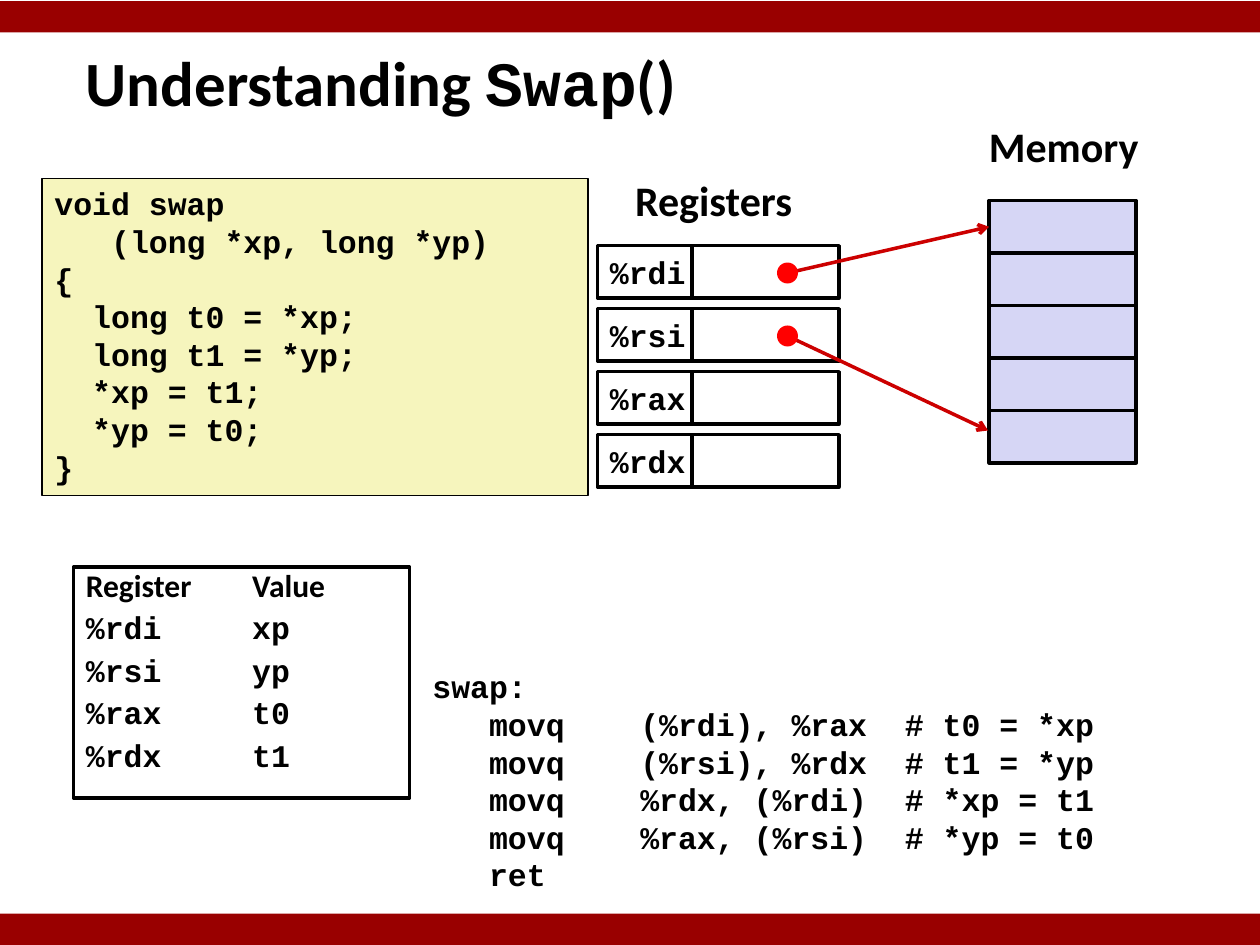
from lxml.etree import SubElement
from pptx import Presentation
from pptx.dml.color import RGBColor
from pptx.enum.shapes import MSO_CONNECTOR, MSO_SHAPE
from pptx.enum.text import MSO_ANCHOR, PP_ALIGN
from pptx.oxml.ns import qn
from pptx.util import Inches, Pt

COLUMNS, ROWS = 120, 90
UNIT = Inches(10) / COLUMNS
MONO, SANS = "Courier New", "Calibri"
BLACK, WHITE, BAR, ARROW = "000000", "FFFFFF", "990000", "CC0000"
DOT, CODE_FILL, MEMORY_FILL = "FF0000", "F6F5BD", "D6D6F5"
CELL_HEIGHT, VALUE_WIDTH = 5, 14
CODE_FORMAT = {"line_spacing": Pt(21.5)}

SWAP_C = """void swap
   (long *xp, long *yp)
{
  long t0 = *xp;
  long t1 = *yp;
  *xp = t1;
  *yp = t0;
}"""
SWAP_ASSEMBLY = """swap:
   movq    (%rdi), %rax  # t0 = *xp
   movq    (%rsi), %rdx  # t1 = *yp
   movq    %rdx, (%rdi)  # *xp = t1
   movq    %rax, (%rsi)  # *yp = t0
   ret"""
REGISTER_VALUES = {"%rdi": "xp", "%rsi": "yp", "%rax": "t0", "%rdx": "t1"}


def grid(*units):
    return [round(unit * UNIT) for unit in units]


def color(target, hex_code):
    target.rgb = RGBColor.from_string(hex_code)


def apply(target, formats):
    for name, value in formats.items():
        setattr(target, name, value)


def add_block(slide, place, fill=None, border=0, outline=MSO_SHAPE.RECTANGLE):
    block = slide.shapes.add_shape(outline, *grid(*place))
    block.shadow.inherit = False
    if fill:
        block.fill.solid()
        color(block.fill.fore_color, fill)
    else:
        block.fill.background()
    if border:
        color(block.line.color, BLACK)
        block.line.width = Pt(border)
    else:
        block.line.fill.background()
    return block


def add_label(slide, place):
    return slide.shapes.add_textbox(*grid(*place))


def write(block, lines, size=18, wrap=True, anchor=MSO_ANCHOR.TOP, formats=None, tab=None):
    frame = block.text_frame
    apply(frame, {"word_wrap": wrap, "vertical_anchor": anchor})
    for index, pieces in enumerate(lines):
        paragraph = frame.add_paragraph() if index else frame.paragraphs[0]
        if tab:
            stops = SubElement(paragraph._p.get_or_add_pPr(), qn("a:tabLst"))
            SubElement(stops, qn("a:tab"), pos=str(Inches(tab)), algn="l")
        apply(paragraph, {"alignment": PP_ALIGN.LEFT, **(formats or {})})
        if not index:
            paragraph.space_before = Pt(0)
        for words, face in pieces:
            run = paragraph.add_run()
            run.text = words
            apply(run.font, {"name": face, "size": Pt(size), "bold": True})
            color(run.font.color, BLACK)


def write_code(block, code):
    write(block, [[(line, MONO)] for line in code.splitlines()], formats=CODE_FORMAT)


def add_registers(slide, left, top, step):
    name_width = 9
    for index, register in enumerate(REGISTER_VALUES):
        row = top + index * step
        name_cell = add_block(slide, (left, row, name_width, CELL_HEIGHT), WHITE, 2)
        write(name_cell, [[(register, MONO)]], wrap=False, anchor=MSO_ANCHOR.MIDDLE)
        add_block(slide, (left + name_width, row, VALUE_WIDTH, CELL_HEIGHT), WHITE, 2)


def add_memory(slide, left, top, count):
    return [
        add_block(slide, (left, top + index * CELL_HEIGHT, VALUE_WIDTH, CELL_HEIGHT), MEMORY_FILL, 2)
        for index in range(count)
    ]


def add_pointer(slide, start, end, target=None):
    pointer = slide.shapes.add_connector(MSO_CONNECTOR.STRAIGHT, *grid(*start, *end))
    if target:
        pointer.end_connect(target, 1)
    color(pointer.line.color, ARROW)
    pointer.line.width = Pt(2)
    SubElement(pointer.line._get_or_add_ln(), qn("a:tailEnd"), type="arrow")
    SubElement(pointer._element.spPr, qn("a:effectLst"))
    x, y = start
    add_block(slide, (x - 1, y - 1, 2, 2), DOT, outline=MSO_SHAPE.OVAL)


def add_value_list(slide):
    value_list = add_block(slide, (7, 54, 32, 22), border=2)
    value_list.text_frame.margin_top = Inches(0.08)
    lines = [[("Register\tValue", SANS)]]
    lines += [[(f"{register}\t{value}", MONO)] for register, value in REGISTER_VALUES.items()]
    spacing = {"line_spacing": Pt(15), "space_before": Pt(9.3)}
    write(value_list, lines, formats=spacing, tab=1.32)


def main():
    deck = Presentation()
    apply(deck, dict(zip(("slide_width", "slide_height"), grid(COLUMNS, ROWS))))
    slide = deck.slides.add_slide(deck.slide_layouts[6])

    add_registers(slide, 56.9, 23.4, 6)
    title = [("Understanding ", SANS), ("Swap", MONO), ("()", SANS)]
    write(add_label(slide, (7, 4, 83.6, 7.5)), [title], 36, anchor=MSO_ANCHOR.MIDDLE)
    write_code(add_block(slide, (4, 17, 52, 30.2), CODE_FILL, 1), SWAP_C)
    write(add_label(slide, (93, 10.9, 16.8, 6)), [[("Memory", SANS)]], 24, wrap=False)
    add_value_list(slide)
    write_code(add_label(slide, (40, 63, 77, 23)), SWAP_ASSEMBLY)
    write(add_label(slide, (59.3, 16, 17.8, 6)), [[("Registers", SANS)]], 24, wrap=False)

    memory = add_memory(slide, 94.2, 19.1, 5)
    add_pointer(slide, (75, 26), (94.2, 21.6), memory[0])
    add_pointer(slide, (75, 32), (94.1, 41))
    for top in (ROWS - 3, 0.1):
        add_block(slide, (0, top, COLUMNS, 3), BAR)
    deck.save("out.pptx")


if __name__ == "__main__":
    main()
